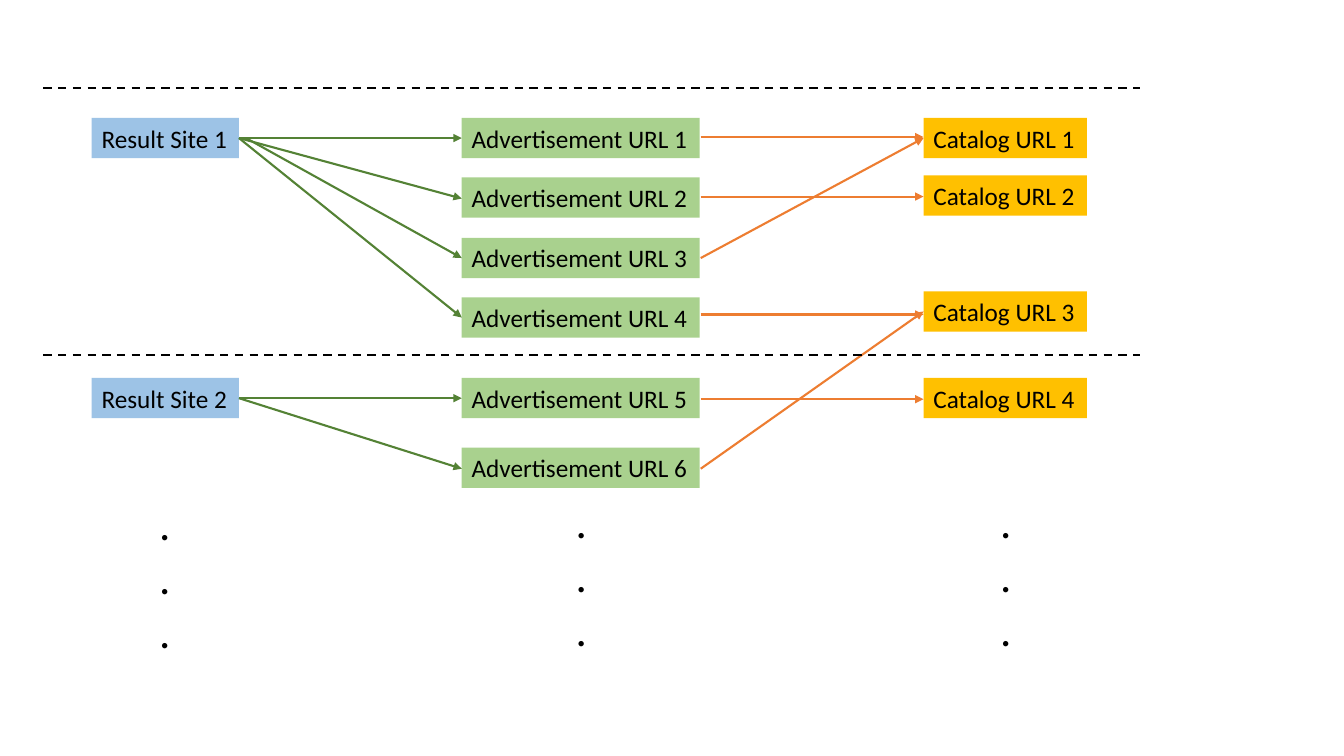
from pptx import Presentation
from pptx.dml.color import RGBColor
from pptx.enum.dml import MSO_LINE
from pptx.enum.shapes import MSO_CONNECTOR, MSO_SHAPE
from pptx.enum.text import MSO_ANCHOR, MSO_AUTO_SIZE, PP_ALIGN
from pptx.oxml.ns import qn
from pptx.util import Inches, Pt
from lxml.etree import SubElement

COLORS = {"site": "9DC3E6", "advert": "A9D18E", "catalog": "FFC000",
          "advert_link": "548235", "catalog_link": "ED7D31", "black": "000000"}
FONT = "Calibri"

deck = Presentation()
deck.slide_width, deck.slide_height = Inches(13.33), Inches(7.5)
page = deck.slides.add_slide(deck.slide_layouts[6])


def add_text(para, text, size):
    span = para.add_run()
    span.text = text
    span.font.name = FONT
    span.font.size = Pt(size)
    span.font.color.rgb = RGBColor.from_string(COLORS["black"])


def add_line(x1, y1, x2, y2, color, arrow=False):
    line = page.shapes.add_connector(
        MSO_CONNECTOR.STRAIGHT, Inches(x1), Inches(y1), Inches(x2), Inches(y2))
    line.line.color.rgb = RGBColor.from_string(COLORS[color])
    line.line.width = Pt(1.5)
    if arrow:
        SubElement(line.line._get_or_add_ln(), qn("a:tailEnd"), type="triangle")
    else:
        line.line.dash_style = MSO_LINE.DASH
    SubElement(line._element.spPr, qn("a:effectLst"))


# Columns of boxes: name, fill, left, width, tops
columns = [
    ("Result Site", "site", 0.91, 1.46, [1.17, 3.75]),
    ("Advertisement URL", "advert", 4.58, 2.36, [1.17, 1.76, 2.36, 2.95, 3.75, 4.44]),
    ("Catalog URL", "catalog", 9.16, 1.62, [1.17, 1.74, 2.89, 3.75]),
]
for name, fill, left, width, tops in columns:
    for number, top in enumerate(tops, 1):
        box = page.shapes.add_shape(
            MSO_SHAPE.RECTANGLE, Inches(left), Inches(top), Inches(width), Inches(0.4))
        box.shadow.inherit = False
        box.fill.solid()
        box.fill.fore_color.rgb = RGBColor.from_string(COLORS[fill])
        box.line.fill.background()
        frame = box.text_frame
        frame.word_wrap = False
        frame.auto_size = MSO_AUTO_SIZE.SHAPE_TO_FIT_TEXT
        frame.vertical_anchor = MSO_ANCHOR.TOP
        para = frame.paragraphs[0]
        para.alignment = PP_ALIGN.LEFT
        add_text(para, f"{name} {number}", 18)

# Arrows from result sites to advertisements: start x, start y, end y
for start_x, start_y, end_y in [(2.37, 1.37, 1.37), (2.37, 1.37, 1.97),
                                (2.44, 1.37, 2.56), (2.37, 1.37, 3.15),
                                (2.37, 3.95, 3.95), (2.37, 3.95, 4.65)]:
    add_line(start_x, start_y, 4.58, end_y, "advert_link", arrow=True)

# Arrows from advertisements to catalogs: start y, end y
for start_y, end_y in [(1.36, 1.36), (1.95, 1.95), (2.56, 1.37),
                       (3.12, 3.12), (3.96, 3.96), (4.65, 3.09)]:
    add_line(6.95, start_y, 9.16, end_y, "catalog_link", arrow=True)

# Dashed separators
for y in (0.87, 3.52):
    add_line(0.43, y, 11.31, y, "black")

# Continuation dots under each column
for left, top in [(1.4, 4.86), (5.53, 4.84), (9.74, 4.84)]:
    dots = page.shapes.add_textbox(Inches(left), Inches(top), Inches(0.47), Inches(1.72))
    frame = dots.text_frame
    frame.word_wrap = True
    frame.auto_size = MSO_AUTO_SIZE.SHAPE_TO_FIT_TEXT
    frame.vertical_anchor = MSO_ANCHOR.MIDDLE
    for index in range(3):
        para = frame.add_paragraph() if index else frame.paragraphs[0]
        para.alignment = PP_ALIGN.CENTER
        add_text(para, ".", 32)

deck.save("out.pptx")
